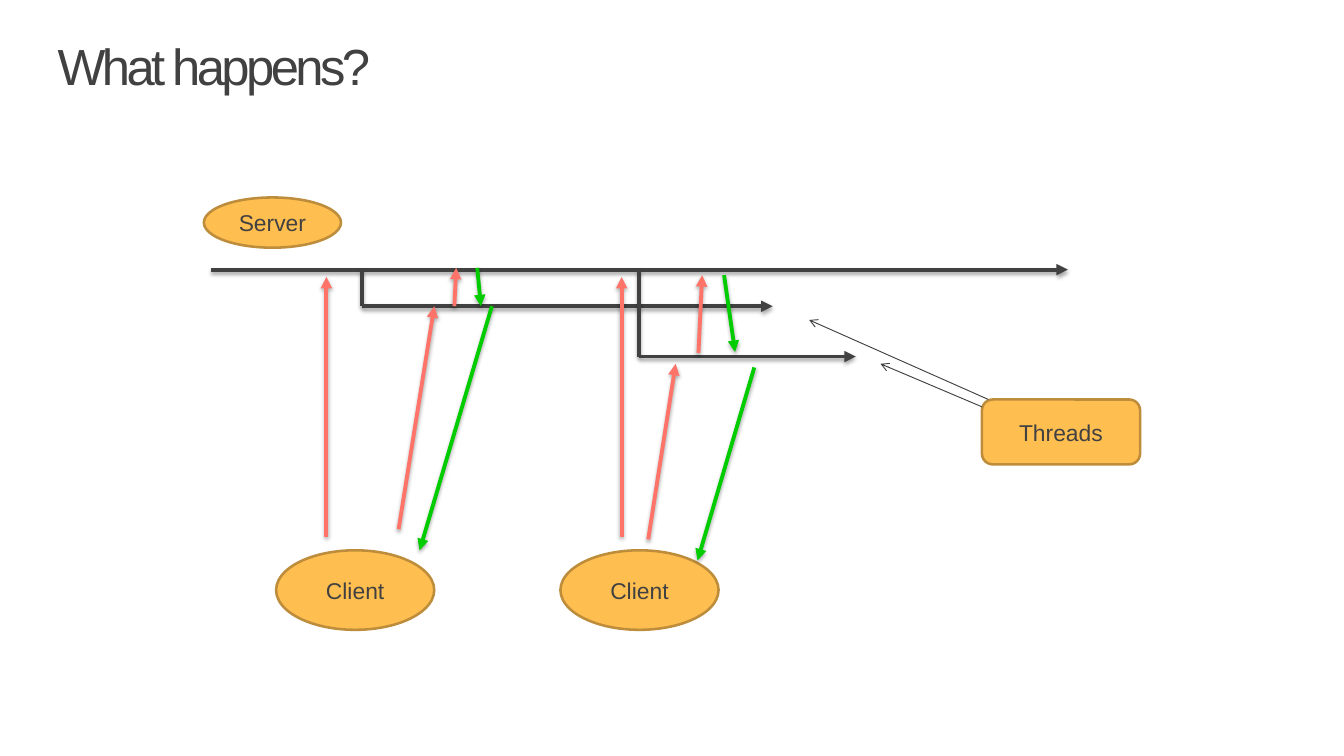
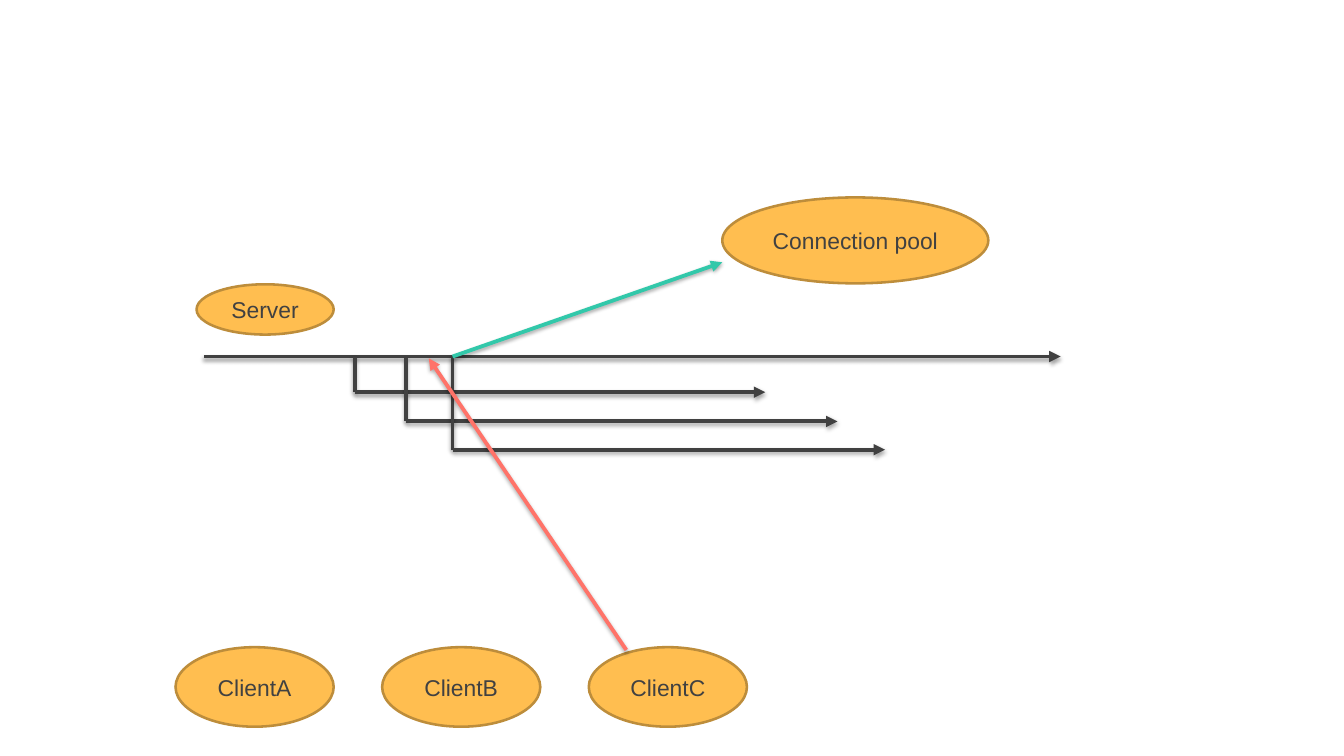
"""Build two slides that show how a server hands client requests to threads."""

from lxml import etree
from pptx import Presentation
from pptx.dml.color import RGBColor
from pptx.enum.shapes import MSO_CONNECTOR, MSO_SHAPE
from pptx.enum.text import MSO_ANCHOR, MSO_AUTO_SIZE, PP_ALIGN
from pptx.oxml import parse_xml
from pptx.oxml.ns import nsdecls, qn
from pptx.util import Emu, Pt

PX = 9144
FONT = "Arial"
DARK = "414141"
AMBER = "FFBE50"
BROWN = "BD8D3B"
RED = "FF7369"
GREEN = "00CC00"
TEAL = "32C8AA"
OVAL = MSO_SHAPE.OVAL
CLIENT_SIZE = (173, 87)
SERVER_SIZE = (150, 55)
SHADOW = (
    f'<a:effectLst {nsdecls("a")}>'
    '<a:outerShdw blurRad="40000" dist="23000" dir="5400000" rotWithShape="0">'
    '<a:srgbClr val="000000"><a:alpha val="35000"/></a:srgbClr>'
    "</a:outerShdw></a:effectLst>"
)

color = RGBColor.from_string


def write_text(shape, text, size=18, align=PP_ALIGN.CENTER, anchor=MSO_ANCHOR.MIDDLE,
               line_spacing=None, tracking=None):
    frame = shape.text_frame
    frame.word_wrap = True
    frame.auto_size = MSO_AUTO_SIZE.NONE
    frame.vertical_anchor = anchor
    paragraph = frame.paragraphs[0]
    paragraph.alignment = align
    paragraph.line_spacing = line_spacing
    run = paragraph.add_run()
    run.text = text
    run.font.name = FONT
    run.font.size = Pt(size)
    run.font.color.rgb = color(DARK)
    if tracking is not None:
        run.font._element.set("spc", str(tracking))


def add_line(slide, points, line_color=DARK, width=3, head="triangle", shadow=True):
    connector = slide.shapes.add_connector(
        MSO_CONNECTOR.STRAIGHT, *[Emu(value * PX) for value in points])
    connector.line.color.rgb = color(line_color)
    connector.line.width = Pt(width)
    if head:
        etree.SubElement(connector.line._get_or_add_ln(), qn("a:tailEnd"), type=head)
    effects = SHADOW if shadow else f'<a:effectLst {nsdecls("a")}/>'
    connector._element.spPr.append(parse_xml(effects))


presentation = Presentation()
presentation.slide_width = Emu(1470 * PX)
presentation.slide_height = Emu(827 * PX)

# Nodes: text, shape, left, top, (width, height).
# Threads: stem x, stem top, thread y, thread end.
# Messages: (from x, from y, to x, to y), colour.
diagrams = [
    {
        "title": "What happens?",
        "nodes": [("Server", OVAL, 223, 216, SERVER_SIZE)]
        + [("Client", OVAL, left, 602, CLIENT_SIZE) for left in (302, 613)]
        + [("Threads", MSO_SHAPE.ROUNDED_RECTANGLE, 1074, 437, (173, 71))],
        "server_line": (231, 295, 1168, 295),
        "threads": [(396, 295, 335, 845), (699, 295, 390, 936)],
        "messages": [
            ((357, 587, 357, 303), RED),
            ((436, 579, 475, 335), RED),
            ((538, 335, 459, 602), GREEN),
            ((680, 587, 680, 303), RED),
            ((709, 590, 739, 398), RED),
            ((825, 402, 763, 613), GREEN),
            ((497, 335, 499, 293), RED),
            ((522, 293, 526, 335), GREEN),
            ((764, 386, 768, 301), RED),
            ((792, 301, 804, 385), GREEN),
        ],
        "pointers": [(1074, 445, 963, 398), (1081, 437, 885, 350)],
    },
    {
        "title": None,
        "nodes": [("Server", OVAL, 215, 311, SERVER_SIZE)]
        + [(f"Client{letter}", OVAL, 192 + 226 * index, 708, CLIENT_SIZE)
           for index, letter in enumerate("ABC")]
        + [("Connection pool", OVAL, 790, 216, (291, 94))],
        "server_line": (223, 390, 1160, 390),
        "threads": [(388, 390, 429, 837), (444, 392, 461, 916), (495, 390, 492, 968)],
        "messages": [((685, 711, 469, 392), RED), ((495, 390, 790, 287), TEAL)],
        "pointers": [],
    },
]

for diagram in diagrams:
    title = diagram["title"]
    layout_name = "Title Only" if title else "Blank"
    slide = presentation.slides.add_slide(
        presentation.slide_layouts.get_by_name(layout_name))

    if title:
        heading = slide.shapes.title
        heading.left, heading.top, heading.width, heading.height = [
            Emu(value * PX) for value in (63, 43, 1407, 102)]
        frame = heading.text_frame
        frame.margin_left = frame.margin_right = frame.margin_bottom = 0
        frame.margin_top = Emu(12 * PX)
        write_text(heading, title, size=40, align=PP_ALIGN.LEFT,
                   anchor=MSO_ANCHOR.TOP, line_spacing=0.73, tracking=-280)

    for text, kind, left, top, (width, height) in diagram["nodes"]:
        node = slide.shapes.add_shape(
            kind, *[Emu(value * PX) for value in (left, top, width, height)])
        node.shadow.inherit = False
        node.fill.solid()
        node.fill.fore_color.rgb = color(AMBER)
        node.line.color.rgb = color(BROWN)
        node.line.width = Pt(2)
        write_text(node, text)

    add_line(slide, diagram["server_line"])
    for stem, top, level, end in diagram["threads"]:
        add_line(slide, (stem, top, stem, level), head=None)
        add_line(slide, (stem, level, end, level))
    for points, message_color in diagram["messages"]:
        add_line(slide, points, message_color)
    for points in diagram["pointers"]:
        add_line(slide, points, width=0.75, head="arrow", shadow=False)

presentation.save("out.pptx")
